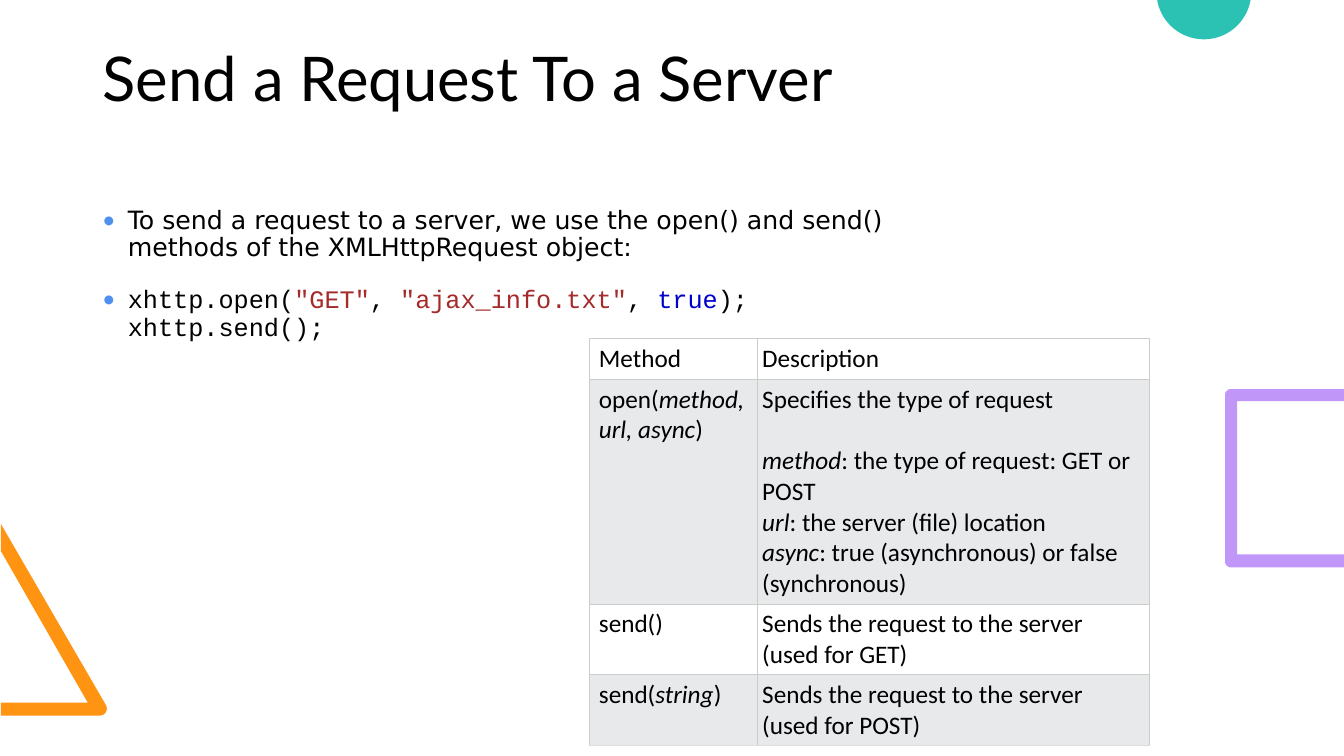
from dataclasses import dataclass
from math import cos, radians, sin

from lxml.etree import SubElement
from pptx import Presentation
from pptx.dml.color import RGBColor
from pptx.oxml.ns import qn
from pptx.util import Inches, Pt


@dataclass(frozen=True)
class Theme:
    """Colours, fonts and sizes of the slide."""

    orange: str = "FF9413"
    teal: str = "2BC2B4"
    purple: str = "C097F8"
    text: str = "000000"
    bullet: str = "4D90EF"
    string: str = "A52A2A"
    keyword: str = "0000CD"
    row_fills: tuple = ("FFFFFF", "E7E9EB")
    border: str = "CCCCCC"
    last_border: str = "DDDDDD"
    border_width: float = 0.43
    title_font: str = "Lato"
    body_font: str = "DejaVu Sans"
    code_font: str = "Courier New"
    table_font: str = "Calibri"
    title_size: int = 44
    body_size: int = 18


def add_text(paragraph, text, *, font, size, color, italic=False):
    """Add text to a paragraph, turning each newline into a line break."""
    for index, line in enumerate(text.split("\n")):
        if index:
            paragraph.add_line_break()
        run = paragraph.add_run()
        run.text = line
        run.font.name = font
        run.font.size = Pt(size)
        run.font.italic = italic
        run.font.color.rgb = RGBColor.from_string(color)


def arc(center_x, center_y, radius, start, end, steps=8):
    """Return points along an arc, with angles in degrees."""
    angles = [radians(start + (end - start) * step / steps) for step in range(steps + 1)]
    return [(center_x + radius * cos(angle), center_y + radius * sin(angle)) for angle in angles]


class SlideBuilder:
    """Draws styled elements on the current slide."""

    def __init__(self, slide, theme):
        self.slide = slide
        self.theme = theme

    def outline(self, points, color):
        """Draw a closed filled outline through points in inches."""
        corners = [(Inches(x), Inches(y)) for x, y in points]
        builder = self.slide.shapes.build_freeform(*corners[0])
        builder.add_line_segments(corners[1:], close=True)
        shape = builder.convert_to_shape()
        shape.shadow.inherit = False
        shape.fill.solid()
        shape.fill.fore_color.rgb = RGBColor.from_string(color)
        shape.line.fill.background()

    def text_frame(self, left, top, width, height):
        """Add a wrapping text box and return its frame."""
        box = self.slide.shapes.add_textbox(Inches(left), Inches(top), Inches(width), Inches(height))
        box.text_frame.word_wrap = True
        return box.text_frame

    def title(self, text):
        """Add the slide title."""
        frame = self.text_frame(0.92, 0.33, 11.5, 1.61)
        frame.margin_top = Inches(0.15)
        paragraph = frame.paragraphs[0]
        paragraph.line_spacing = 0.9
        add_text(paragraph, text, font=self.theme.title_font,
                 size=self.theme.title_size, color=self.theme.text)

    def bullets(self, items):
        """Add bullets, each a font and a list of coloured pieces."""
        frame = self.text_frame(0.92, 2.01, 8.76, 4.69)
        for index, (font, pieces) in enumerate(items):
            paragraph = frame.add_paragraph() if index else frame.paragraphs[0]
            properties = paragraph._p.get_or_add_pPr()
            properties.set("marL", str(Inches(0.25)))
            properties.set("indent", str(Inches(-0.25)))
            bullet_color = SubElement(properties, qn("a:buClr"))
            SubElement(bullet_color, qn("a:srgbClr"), val=self.theme.bullet)
            SubElement(properties, qn("a:buFont"), typeface=self.theme.table_font)
            SubElement(properties, qn("a:buChar"), char="•")
            paragraph.line_spacing = 0.9
            paragraph.space_before = Pt(10 if index else 0)
            paragraph.space_after = Pt(8)
            for text, color in pieces:
                add_text(paragraph, text, font=font, size=self.theme.body_size, color=color)

    def border(self, cell, bottom_color):
        """Draw thin lines on the four sides of a cell."""
        properties = cell._tc.get_or_add_tcPr()
        for side in "LRTB":
            line = SubElement(properties, qn(f"a:ln{side}"), w=str(Pt(self.theme.border_width)))
            fill = SubElement(line, qn("a:solidFill"))
            color = bottom_color if side == "B" else self.theme.border
            SubElement(fill, qn("a:srgbClr"), val=color)

    def cell(self, cell, lines, fill, left_margin, bottom_color):
        """Fill a cell; asterisks in a line switch italics on and off."""
        self.border(cell, bottom_color)
        cell.fill.solid()
        cell.fill.fore_color.rgb = RGBColor.from_string(fill)
        cell.margin_left = Inches(left_margin)
        cell.margin_top = cell.margin_right = cell.margin_bottom = Inches(0.05)
        for index, line in enumerate(lines):
            paragraph = cell.text_frame.paragraphs[0]
            if index:
                paragraph = cell.text_frame.add_paragraph()
                paragraph.space_before = Pt(22 if index == 1 else 0)
            for part, text in enumerate(line.split("*")):
                if text:
                    add_text(paragraph, text, font=self.theme.table_font, size=self.theme.body_size,
                             color=self.theme.text, italic=part % 2 == 1)

    def table(self, rows, widths, heights):
        """Add the banded table of methods."""
        frame = self.slide.shapes.add_table(
            len(rows), len(widths), Inches(5.84), Inches(3.36),
            Inches(sum(widths)), Inches(sum(heights)))
        table = frame.table
        table.first_row = table.horz_banding = False
        for column, width in zip(table.columns, widths):
            column.width = Inches(width)
        for index, (row, height) in enumerate(zip(rows, heights)):
            table.rows[index].height = Inches(height)
            is_last = index == len(rows) - 1
            bottom_color = self.theme.last_border if is_last else self.theme.border
            for column, lines in enumerate(row):
                self.cell(table.cell(index, column), lines, self.theme.row_fills[index % 2],
                          0.05 if column else 0.1, bottom_color)


def main():
    """Build the slide and save it."""
    theme = Theme()
    presentation = Presentation()
    presentation.slide_width = Inches(13.33)
    presentation.slide_height = Inches(7.5)
    slide = presentation.slides.add_slide(presentation.slide_layouts[6])
    builder = SlideBuilder(slide, theme)

    triangle = [(0.01, 7.1), (0.01, 6.97), (0.87, 6.97), (0.01, 5.47), (0.01, 5.2)]
    builder.outline(triangle + arc(0.99, 7.03, 0.07, -30, 90), theme.orange)
    builder.outline(arc(11.94, -0.08, 0.47, 9.8, 170.2, 40), theme.teal)
    square = [(13.33, 5.63), (13.33, 5.5), (12.27, 5.5), (12.27, 3.98), (13.33, 3.98), (13.33, 3.86)]
    rounded = arc(12.21, 3.92, 0.06, 270, 180) + arc(12.21, 5.57, 0.06, 180, 90)
    builder.outline(square + rounded, theme.purple)

    builder.title("Send a Request To a Server")
    builder.bullets([
        (theme.body_font, [
            ("To send a request to a server, we use the open() and send() "
             "methods of the XMLHttpRequest object:", theme.text)]),
        (theme.code_font, [
            ("xhttp.open(", theme.text), ('"GET"', theme.string), (", ", theme.text),
            ('"ajax_info.txt"', theme.string), (", ", theme.text),
            ("true", theme.keyword), (");\nxhttp.send();", theme.text)]),
    ])
    builder.table([
        (["Method"], ["Description"]),
        (["open(*method, url, async*)"], [
            "Specifies the type of request",
            "*method*: the type of request: GET or POST",
            "*url*: the server (file) location",
            "*async*: true (asynchronous) or false (synchronous)"]),
        (["send()"], ["Sends the request to the server (used for GET)"]),
        (["send(*string*)"], ["Sends the request to the server (used for POST)"]),
    ], widths=(1.67, 3.89), heights=(0.4, 2.23, 0.7, 0.7))
    presentation.save("out.pptx")


if __name__ == "__main__":
    main()
